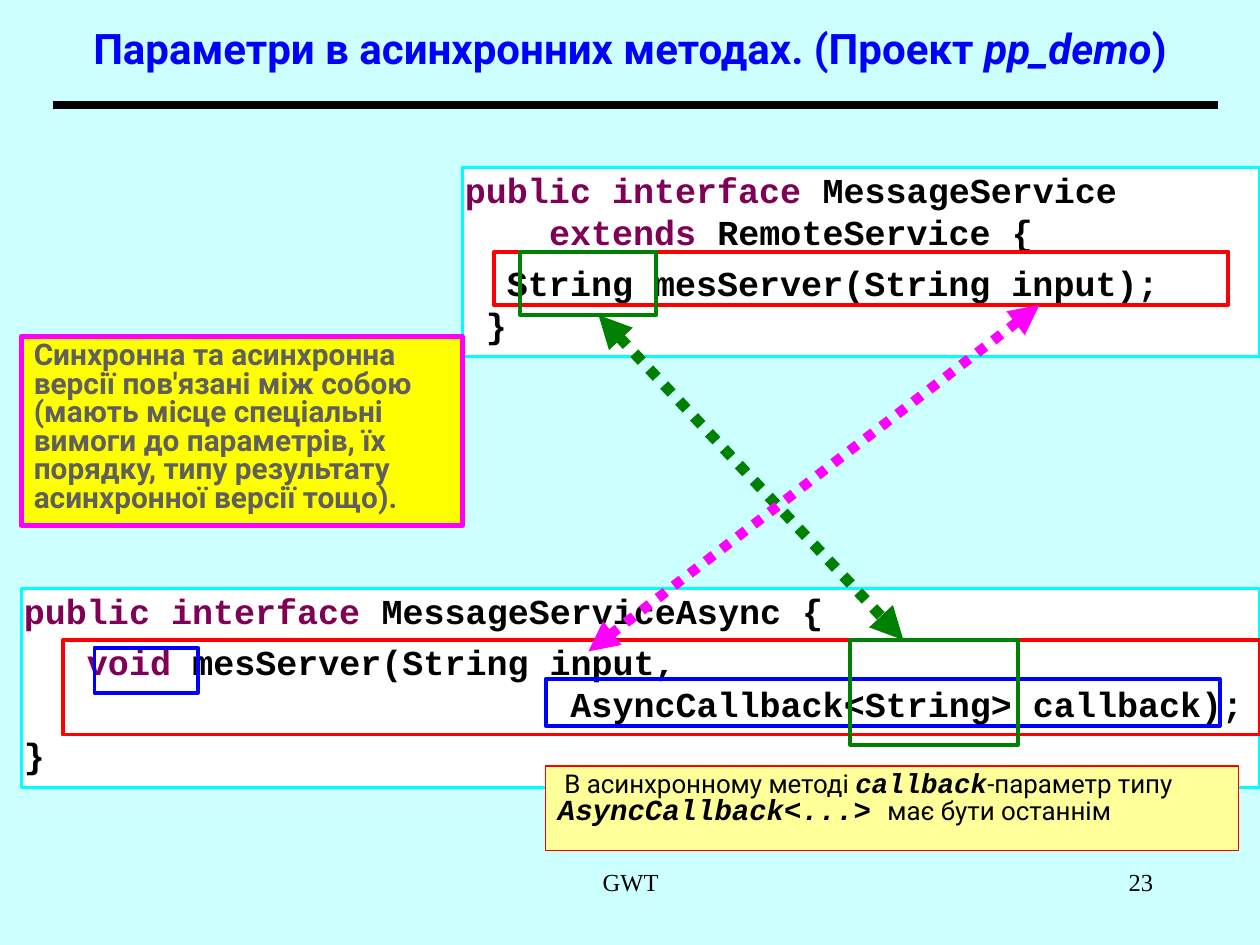
import pptx
import pptx.util
import pptx.dml.color
import pptx.enum.dml
import pptx.enum.shapes
import pptx.enum.text
import pptx.oxml

Inches = pptx.util.Inches
Pt = pptx.util.Pt
ALIGN = pptx.enum.text.PP_ALIGN
ANCHOR = pptx.enum.text.MSO_ANCHOR

COLORS = {
    "background": "CCFFFF", "black": "000000", "white": "FFFFFF", "cyan": "00FFFF",
    "red": "FF0000", "green": "008000", "blue": "0000FF", "magenta": "FF00FF",
    "yellow": "FFFF00", "cream": "FFFF99", "gray": "5F5F5F", "keyword": "7F0055",
}

# Each style is font, size, colour, bold, italic
TEXT = {
    "title": ("Roboto", 24, "blue", True, False),
    "title italic": ("Roboto", 24, "blue", True, True),
    "code": ("Courier New", 20, "black", True, False),
    "keyword": ("Courier New", 20, "keyword", True, False),
    "remark": ("Roboto", 14.8, "black", False, False),
    "parameter": ("Courier New", 15.7, "black", True, True),
    "parameter type": ("Courier New", 16.6, "black", True, True),
    "note": ("Roboto", 17, "gray", True, False),
    "footer": ("Times New Roman", 14, "black", False, False),
}

CODE_INSETS = (0.02, 0.01, 0, 0.01)
TEXT_INSETS = (0.1, 0.05, 0.1, 0.05)


class SlideBuilder:
    def __init__(self, slide):
        self.slide = slide
        fill = slide.background.fill
        fill.solid()
        fill.fore_color.rgb = self.rgb("background")

    def rgb(self, color):
        return pptx.dml.color.RGBColor.from_string(COLORS[color])

    def box(self, area, line, width, fill=None):
        box = self.slide.shapes.add_shape(
            pptx.enum.shapes.MSO_SHAPE.RECTANGLE, *map(Inches, area))
        box.shadow.inherit = False
        box.line.color.rgb = self.rgb(line)
        box.line.width = Pt(width)
        if fill:
            box.fill.solid()
            box.fill.fore_color.rgb = self.rgb(fill)
        else:
            box.fill.background()
        return box

    def add_paragraphs(self, shape, paragraphs, insets=TEXT_INSETS, align=ALIGN.LEFT,
                       anchor=ANCHOR.TOP, line_spacing=None, gap=0):
        """Fill a shape with paragraphs, each a list of (text, style name) runs."""
        frame = shape.text_frame
        frame.word_wrap = True
        frame.vertical_anchor = anchor
        (frame.margin_left, frame.margin_top,
         frame.margin_right, frame.margin_bottom) = map(Inches, insets)
        for index, runs in enumerate(paragraphs):
            paragraph = frame.add_paragraph() if index else frame.paragraphs[0]
            paragraph.alignment = align
            if line_spacing:
                paragraph.line_spacing = line_spacing
            if index:
                paragraph.space_before = Pt(gap)
            for text, style in runs:
                self.add_run(paragraph, text, style)

    def add_run(self, paragraph, text, style):
        for index, line in enumerate(text.split("\n")):
            if index:
                paragraph.add_line_break()
            run = paragraph.add_run()
            run.text = line
            font = run.font
            font.name, size, color, font.bold, font.italic = TEXT[style]
            font.size = Pt(size)
            font.color.rgb = self.rgb(color)

    def text(self, area, runs, **layout):
        text_box = self.slide.shapes.add_textbox(*map(Inches, area))
        self.add_paragraphs(text_box, [runs], **layout)

    def code(self, area, paragraphs):
        code_box = self.box(area, "cyan", 2, "white")
        self.add_paragraphs(code_box, paragraphs, CODE_INSETS, gap=5)

    def line(self, start, end, color, width):
        line = self.slide.shapes.add_connector(
            pptx.enum.shapes.MSO_CONNECTOR.STRAIGHT, *map(Inches, start + end))
        line.line.color.rgb = self.rgb(color)
        line.line.width = Pt(width)
        properties = line._element.spPr
        properties.append(pptx.oxml.parse_xml(
            '<a:effectLst xmlns:a="http://schemas.openxmlformats.org/drawingml/2006/main"/>'))
        return line

    def double_arrow(self, start, end, color, width):
        arrow = self.line(start, end, color, width)
        arrow.line.dash_style = pptx.enum.dml.MSO_LINE.ROUND_DOT
        for tip in ("headEnd", "tailEnd"):
            arrow.line._get_or_add_ln().append(pptx.oxml.parse_xml(
                f'<a:{tip} xmlns:a="http://schemas.openxmlformats.org/drawingml/2006/main"'
                ' type="triangle"/>'))


def main():
    deck = pptx.Presentation()
    deck.slide_width, deck.slide_height = Inches(10), Inches(7.5)
    page = SlideBuilder(deck.slides.add_slide(deck.slide_layouts[6]))

    page.line((0.42, 0.83), (9.67, 0.83), "black", 4.5)
    page.text((0, 0, 10, 0.83), [
        ("Параметри в асинхронних методах. (Проект ", "title"),
        ("pp_demo", "title italic"),
        (")", "title"),
    ], align=ALIGN.CENTER, anchor=ANCHOR.MIDDLE, line_spacing=0.8)

    page.code((3.67, 1.33, 6.33, 1.5), [
        [("public interface", "keyword"), (" MessageService\n    ", "code"),
         ("extends ", "keyword"), ("RemoteService {", "code")],
        [("  String mesServer(String input);\n }", "code")],
    ])
    page.code((0.17, 4.67, 9.83, 1.58), [
        [("public interface", "keyword"), (" MessageServiceAsync {", "code")],
        [("   void", "keyword"),
         (" mesServer(String input,\n"
          "                          AsyncCallback<String> callback);", "code")],
        [("}", "code")],
    ])

    for area, color in (
        ((3.92, 2, 5.83, 0.42), "red"),
        ((0.5, 5.08, 9.5, 0.75), "red"),
        ((4.13, 2, 1.08, 0.5), "green"),
        ((0.75, 5.14, 0.82, 0.36), "blue"),
        ((4.33, 5.39, 5.35, 0.37), "blue"),
    ):
        page.box(area, color, 2.25)
    page.double_arrow((4.75, 2.5), (7.17, 5.08), "green", 6.25)
    page.box((6.75, 5.08, 1.33, 0.83), "green", 2.25)

    callback_remark = page.box((4.33, 6.08, 5.5, 0.67), "red", 1, "cream")
    page.add_paragraphs(callback_remark, [[
        (" В асинхронному методі ", "remark"),
        ("callback", "parameter"),
        ("-параметр типу ", "remark"),
        ("AsyncCallback<...>", "parameter type"),
        (" ", "parameter"),
        ("має бути останнім", "remark"),
    ]], line_spacing=0.8)

    page.double_arrow((8.25, 2.42), (4.67, 5.17), "magenta", 5.75)

    versions_note = page.box((0.17, 2.67, 3.5, 1.5), "magenta", 3, "yellow")
    page.add_paragraphs(versions_note, [[
        ("Синхронна та асинхронна версії пов'язані між собою (мають місце "
         "спеціальні вимоги до параметрів, їх порядку, типу результату "
         "асинхронної версії тощо).", "note"),
    ]], insets=(0.1, 0.05, 0.02, 0.05), line_spacing=0.8)

    page.text((3.42, 6.83, 3.17, 0.5), [("GWT", "footer")], align=ALIGN.CENTER)
    page.text((7.17, 6.83, 2.08, 0.5), [("23", "footer")], align=ALIGN.RIGHT)

    deck.save("out.pptx")


if __name__ == "__main__":
    main()
